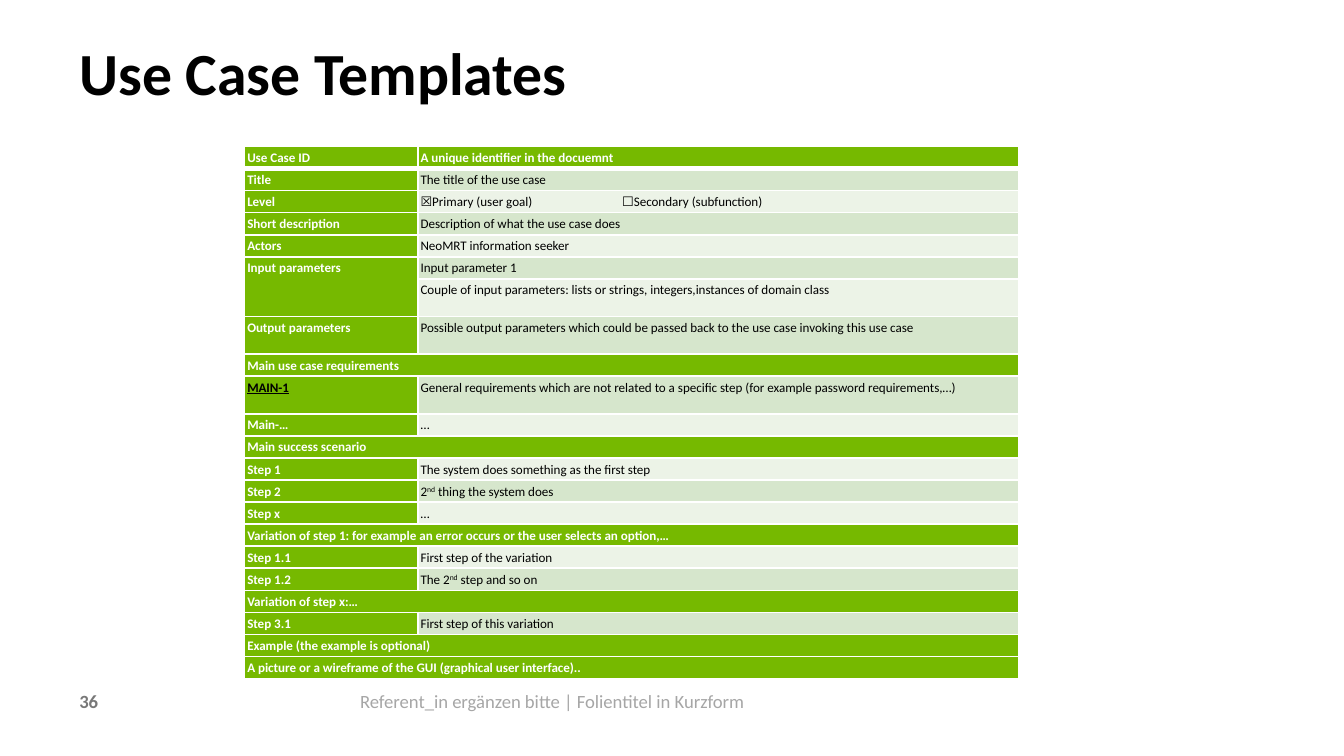
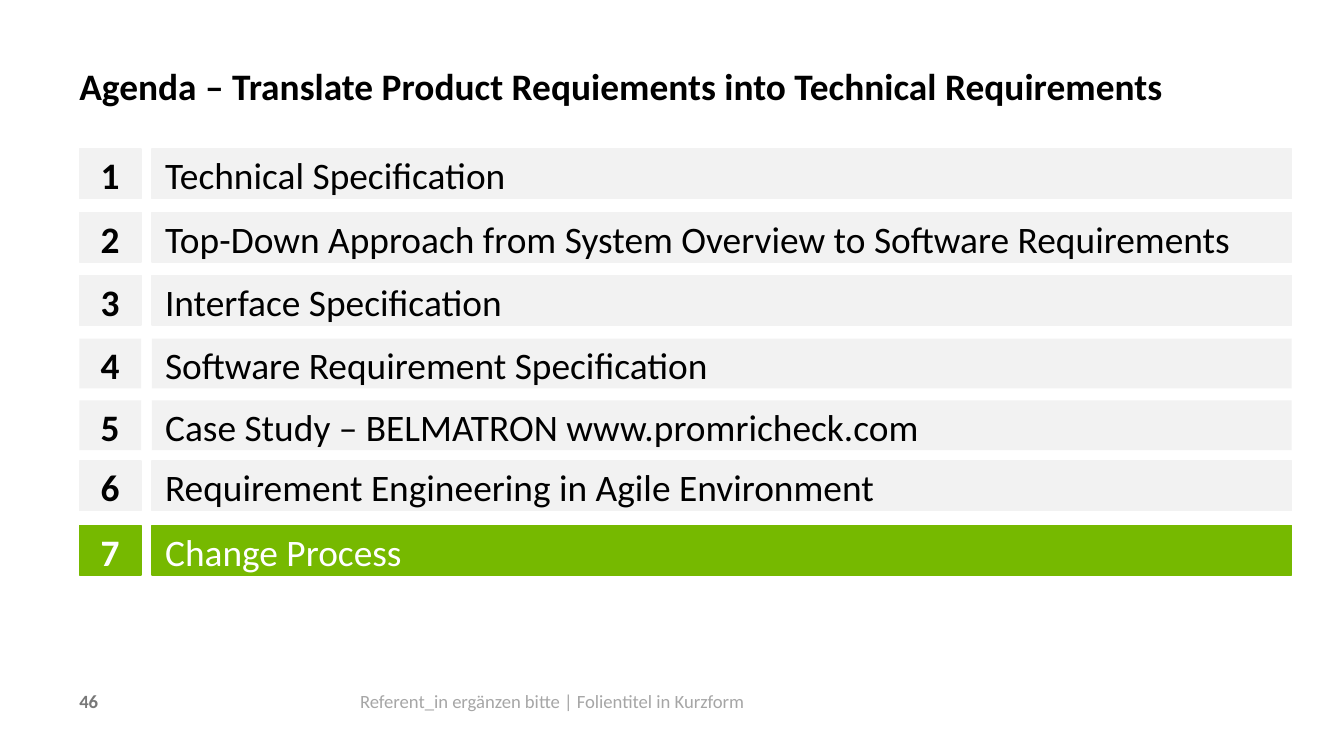
from dataclasses import dataclass
from typing import NamedTuple

from lxml import etree
from pptx import Presentation
from pptx.dml.color import RGBColor
from pptx.enum.shapes import MSO_SHAPE
from pptx.enum.text import MSO_ANCHOR, MSO_AUTO_SIZE, PP_ALIGN
from pptx.oxml.ns import qn
from pptx.util import Pt

PX = 9144  # 100 px to the inch
SLIDE_WIDTH = 1000
RECTANGLE = MSO_SHAPE.RECTANGLE
LEFT, CENTER = PP_ALIGN.LEFT, PP_ALIGN.CENTER
TOP, MIDDLE = MSO_ANCHOR.TOP, MSO_ANCHOR.MIDDLE
GROW_SHAPE = MSO_AUTO_SIZE.SHAPE_TO_FIT_TEXT

FONT = "Calibri"
BLACK = RGBColor(0x00, 0x00, 0x00)
WHITE = RGBColor(0xFF, 0xFF, 0xFF)
GREEN = RGBColor(0x76, 0xB9, 0x00)
GREEN_TINT = RGBColor(0xD6, 0xE6, 0xCC)
GREEN_PALE = RGBColor(0xEC, 0xF3, 0xE7)
PANEL_GRAY = RGBColor(0xF2, 0xF2, 0xF2)
FOOTER_GRAY = RGBColor(0xA6, 0xA6, 0xA6)
NUMBER_GRAY = RGBColor(0x78, 0x78, 0x78)

MARGIN = 59
FOOTER_TEXT = "Referent_in ergänzen bitte | Folientitel in Kurzform"
TITLE_ONLY_LAYOUT = 5


class Box(NamedTuple):
    left: int
    top: int
    width: int
    height: int

    def emu(self) -> tuple[int, ...]:
        return tuple(length * PX for length in self)


@dataclass(frozen=True)
class Style:
    size: int
    color: RGBColor
    bold: bool = False
    underline: bool = False


@dataclass(frozen=True)
class UseCaseRow:
    """A labelled row; without details the label fills the whole row."""
    label: str
    details: tuple[str, ...] = ()
    height: int = 15
    is_link: bool = False


@dataclass(frozen=True)
class AgendaItem:
    top: int
    topic: str
    outlined: bool = True
    current: bool = False


TALL = 28
ORDINAL = "nd"
USE_CASE_ROWS = (
    UseCaseRow("Use Case ID", ("A unique identifier in the docuemnt",)),
    UseCaseRow("Title", ("The title of the use case",)),
    UseCaseRow("Level", ("☒Primary (user goal)\t☐Secondary (subfunction)",)),
    UseCaseRow("Short description", ("Description of what the use case does",)),
    UseCaseRow("Actors", ("NeoMRT information seeker",)),
    UseCaseRow("Input parameters", ("Input parameter 1",)),
    UseCaseRow("", ("Couple of input parameters: lists or strings, "
                    "integers,instances of domain class",), TALL),
    UseCaseRow("Output parameters",
               ("Possible output parameters which could be passed back "
                "to the use case invoking this use case",), TALL),
    UseCaseRow("Main use case requirements"),
    UseCaseRow("MAIN-1",
               ("General requirements which are not related to a specific step "
                "(for example password requirements,…)",), TALL, is_link=True),
    UseCaseRow("Main-…", ("…",)),
    UseCaseRow("Main success scenario"),
    UseCaseRow("Step 1", ("The system does something as the first step",)),
    UseCaseRow("Step 2", ("2", ORDINAL, " thing the system does")),
    UseCaseRow("Step x", ("…",)),
    UseCaseRow("Variation of step 1: for example an error occurs "
               "or the user selects an option,…"),
    UseCaseRow("Step 1.1", ("First step of the variation",)),
    UseCaseRow("Step 1.2", ("The 2", ORDINAL, " step and so on")),
    UseCaseRow("Variation of step x:…"),
    UseCaseRow("Step 3.1", ("First step of this variation",)),
    UseCaseRow("Example (the example is optional)"),
    UseCaseRow("A picture or a wireframe of the GUI (graphical user interface).."),
)

AGENDA = (
    AgendaItem(111, "Technical Specification"),
    AgendaItem(158, "Top-Down Approach from System Overview to Software Requirements"),
    AgendaItem(205, "Interface Specification"),
    AgendaItem(252, "Software Requirement Specification", outlined=False),
    AgendaItem(298, "Case Study – BELMATRON www.promricheck.com", outlined=False),
    AgendaItem(343, "Requirement Engineering in Agile Environment"),
    AgendaItem(391, "Change Process", current=True),
)


def add_run(paragraph, text: str, style: Style):
    run = paragraph.add_run()
    run.text = text
    font = run.font
    font.name, font.size, font.bold = FONT, Pt(style.size), style.bold
    font.color.rgb = style.color
    if style.underline:
        font.underline = True
    return run


def set_insets(holder, inset: int) -> None:
    """Give a text frame or a table cell the same margin on all sides."""
    holder.margin_left = holder.margin_right = inset * PX
    holder.margin_top = holder.margin_bottom = inset * PX


def add_label(slide, box: Box, text: str, style: Style) -> None:
    frame = slide.shapes.add_textbox(*box.emu()).text_frame
    frame.word_wrap = True
    set_insets(frame, 0)
    add_run(frame.paragraphs[0], text, style)


def add_titled_slide(prs, title: str, title_size: int, title_height: int, number: int):
    slide = prs.slides.add_slide(prs.slide_layouts[TITLE_ONLY_LAYOUT])
    heading = slide.shapes.title
    heading.left, heading.top, heading.width, heading.height = Box(
        MARGIN, 33, 823, title_height).emu()
    frame = heading.text_frame
    frame.word_wrap, frame.auto_size = True, GROW_SHAPE
    frame.vertical_anchor = TOP
    set_insets(frame, 0)
    paragraph = frame.paragraphs[0]
    paragraph.alignment, paragraph.line_spacing = LEFT, Pt(34)
    add_run(paragraph, title, Style(title_size, BLACK, bold=True))

    add_label(slide, Box(268, 513, 600, 20), FOOTER_TEXT, Style(10, FOOTER_GRAY))
    add_label(slide, Box(MARGIN, 513, 189, 20), str(number),
              Style(10, NUMBER_GRAY, bold=True))
    return slide


def add_cell_borders(cell, top: int, bottom: int) -> None:
    """Draw white borders; top and bottom are widths in points."""
    properties = cell._tc.get_or_add_tcPr()
    for side, width in (("L", 1), ("R", 1), ("T", top), ("B", bottom)):
        line = etree.SubElement(properties, qn(f"a:ln{side}"), w=str(Pt(width)))
        fill = etree.SubElement(line, qn("a:solidFill"))
        etree.SubElement(fill, qn("a:srgbClr"), val=str(WHITE))


def add_tab_stop(paragraph, position: int) -> None:
    stops = etree.SubElement(paragraph._p.get_or_add_pPr(), qn("a:tabLst"))
    etree.SubElement(stops, qn("a:tab"), pos=str(position * PX), algn="l")


def fill_cell(cell, texts: tuple[str, ...], style: Style, background: RGBColor) -> None:
    set_insets(cell, 2)
    cell.fill.solid()
    cell.fill.fore_color.rgb = background
    paragraph = cell.text_frame.paragraphs[0]
    paragraph.line_spacing = 1.07
    for text in texts:
        if "\t" in text:
            add_tab_stop(paragraph, 150)
        run = add_run(paragraph, text, style)
        if text == ORDINAL:
            run.font._element.set("baseline", "30000")


def add_use_case_table(slide) -> None:
    box = Box(182, 109, 576, sum(row.height for row in USE_CASE_ROWS))
    table = slide.shapes.add_table(len(USE_CASE_ROWS), 2, *box.emu()).table
    table.first_row = table.horz_banding = False
    for column, width in zip(table.columns, (129, 447)):
        column.width = width * PX

    heading = Style(7, WHITE, bold=True)
    link = Style(7, BLACK, bold=True, underline=True)
    for index, row in enumerate(USE_CASE_ROWS):
        table.rows[index].height = row.height * PX
        label, detail = table.cell(index, 0), table.cell(index, 1)
        for cell in (label, detail):
            add_cell_borders(cell, 3 if index == 1 else 1, 3 if index == 0 else 1)
        fill_cell(label, (row.label,) if row.label else (),
                  link if row.is_link else heading, GREEN)
        if index == 0 or not row.details:
            fill_cell(detail, row.details, heading, GREEN)
        else:
            fill_cell(detail, row.details, Style(7, BLACK),
                      GREEN_TINT if index % 2 else GREEN_PALE)
        if not row.details:
            label.merge(detail)
        if not row.label:
            table.cell(index - 1, 0).merge(label)


def add_agenda_panel(slide, box: Box, text: str, item: AgendaItem,
                     alignment: PP_ALIGN, bold: bool) -> None:
    color = GREEN if item.current else PANEL_GRAY
    panel = slide.shapes.add_shape(RECTANGLE, *box.emu())
    panel.shadow.inherit = False
    panel.fill.solid()
    panel.fill.fore_color.rgb = color
    if item.outlined:
        panel.line.color.rgb = color
        panel.line.width = Pt(0.75)
    else:
        panel.line.fill.background()
    panel.text_frame.word_wrap = True
    panel.text_frame.vertical_anchor = MIDDLE
    paragraph = panel.text_frame.paragraphs[0]
    paragraph.alignment = alignment
    paragraph.line_spacing, paragraph.space_after = Pt(25), Pt(5.5)
    add_run(paragraph, text, Style(20, WHITE if item.current else BLACK, bold))


def add_agenda(slide) -> None:
    for number, item in enumerate(AGENDA, start=1):
        add_agenda_panel(slide, Box(MARGIN, item.top, 46, 37), str(number), item,
                         CENTER, bold=True)
        add_agenda_panel(slide, Box(113, item.top, 848, 37), item.topic, item,
                         LEFT, bold=False)


def main() -> None:
    prs = Presentation()
    prs.slide_width = SLIDE_WIDTH * PX
    prs.slide_height = SLIDE_WIDTH * PX * 9 // 16
    add_use_case_table(add_titled_slide(prs, "Use Case Templates", 32, 49, 36))
    add_agenda(add_titled_slide(
        prs, "Agenda – Translate Product Requiements into Technical Requirements",
        20, 43, 46))
    prs.save("out.pptx")


if __name__ == "__main__":
    main()
